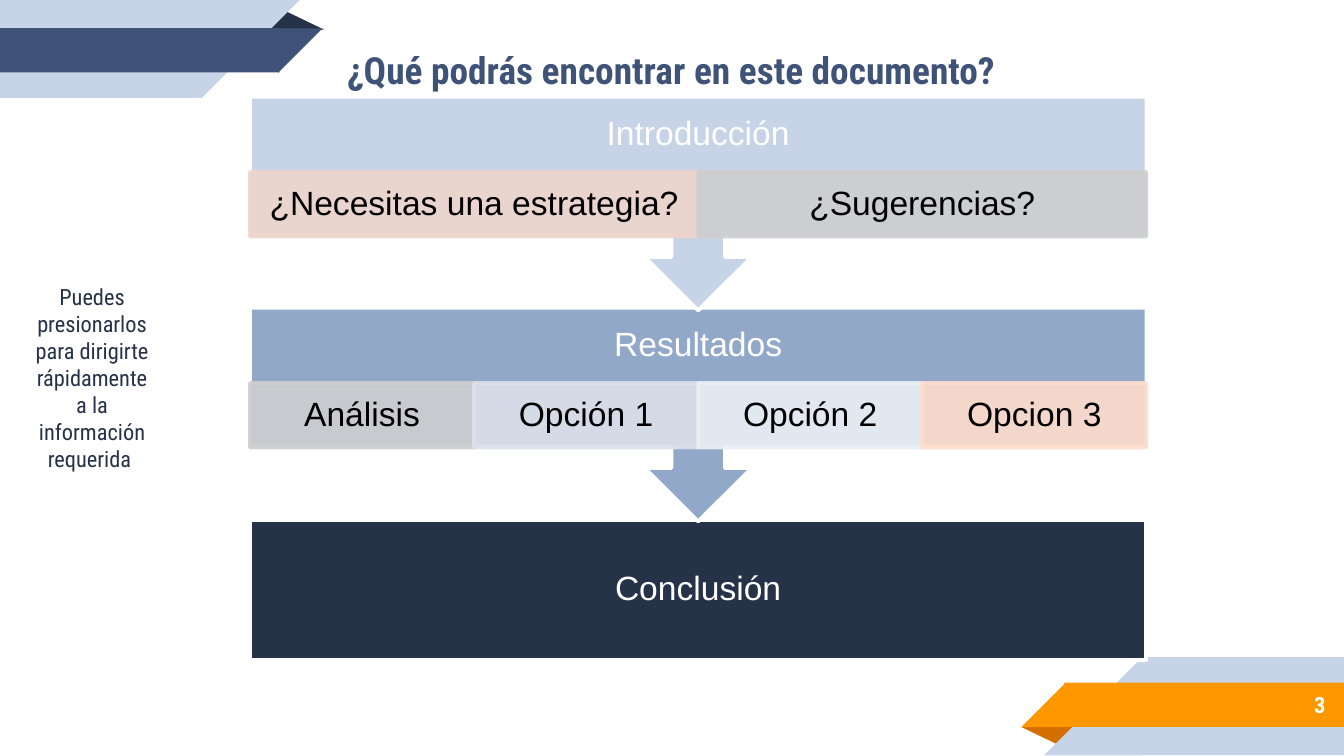
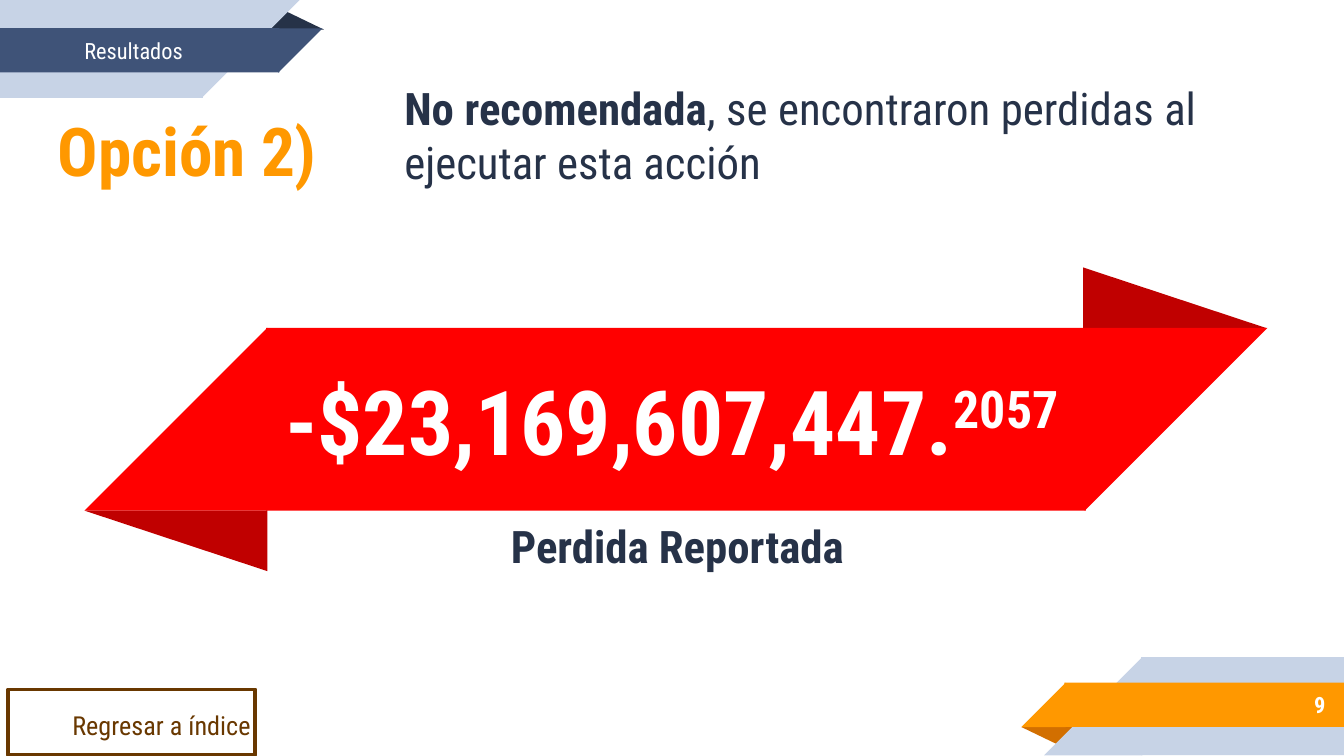
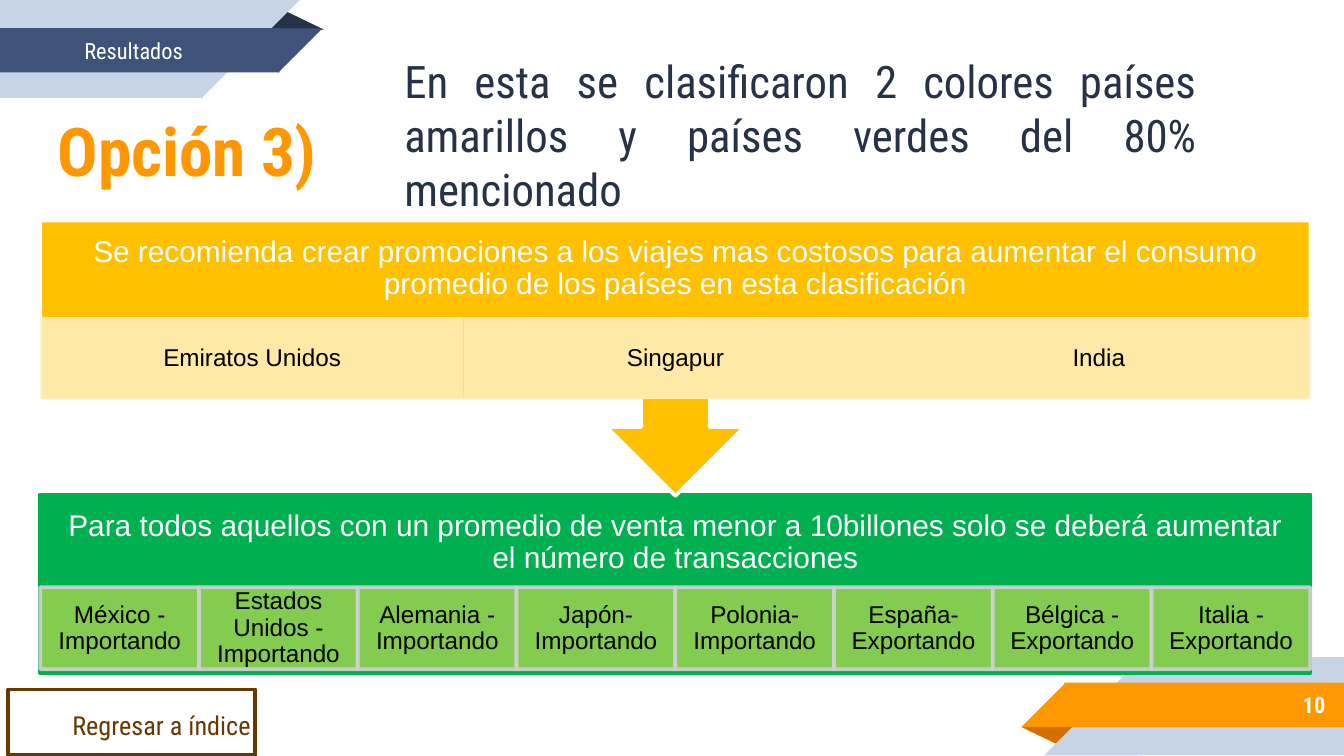
from lxml.etree import SubElement
from pptx import Presentation
from pptx.dml.color import RGBColor
from pptx.enum.shapes import MSO_SHAPE
from pptx.enum.text import MSO_ANCHOR, PP_ALIGN
from pptx.oxml.ns import qn
from pptx.util import Inches, Pt

COLORS = {
    "navy": "263248", "blue": "3F5378", "steel": "92A8C8", "pale_blue": "C7D3E6",
    "orange": "FF9800", "dark_orange": "D26F00", "brown": "693800",
    "red": "FF0000", "dark_red": "C00000", "white": "FFFFFF", "black": "000000",
    "gray": "CDCECF", "mist": "DCE1EB", "ice": "EBEFF5", "peach": "FFDDCC", "rose": "EED5CC",
    "green": "00B050", "light_green": "92D050", "silver": "CFD1D6",
    "amber": "FFC000", "cream": "FFEEB9",
}
HEADING_FONT = "Roboto Condensed"
EVEN_INSETS = (0.1, 0.1)
LABEL_INSETS = (0.1, 0.05)


def add_shape(slide, kind, box, fill=None, line=None, opacity=None,
              rotation=0, flip=False, adjustment=None):
    shape = slide.shapes.add_shape(kind, *map(Inches, box))
    shape.shadow.inherit = False
    shape.rotation = rotation
    if fill:
        shape.fill.solid()
        shape.fill.fore_color.rgb = RGBColor.from_string(COLORS[fill])
    else:
        shape.fill.background()
    if line:
        shape.line.color.rgb = RGBColor.from_string(COLORS[line])
        shape.line.width = Pt(2)
    else:
        shape.line.fill.background()
    if adjustment is not None:
        shape.adjustments[0] = adjustment
    properties = shape._element.spPr
    if flip:
        properties.find(qn("a:xfrm")).set("flipH", "1")
    if opacity:
        for color in properties.iter(qn("a:srgbClr")):
            SubElement(color, qn("a:alpha")).set("val", str(opacity * 1000))
    return shape


def write_text(shape, runs, size, color, align=PP_ALIGN.LEFT, font=HEADING_FONT, bold=False,
               insets=EVEN_INSETS, wrap=True, anchor=MSO_ANCHOR.MIDDLE, **spacing):
    """Fill the shape with one paragraph; runs is a text or a list of (text, font changes)."""
    frame = shape.text_frame
    horizontal, vertical = map(Inches, insets)
    frame_format = {"word_wrap": wrap, "vertical_anchor": anchor,
                    "margin_left": horizontal, "margin_right": horizontal,
                    "margin_top": vertical, "margin_bottom": vertical}
    for name, value in frame_format.items():
        setattr(frame, name, value)
    paragraph = frame.paragraphs[0]
    for name, value in {"alignment": align, **spacing}.items():
        setattr(paragraph, name, value)
    for text, changes in [(runs, {})] if isinstance(runs, str) else runs:
        run = paragraph.add_run()
        run.text = text
        for name, value in {"name": font, "size": Pt(size), "bold": bold, **changes}.items():
            setattr(run.font, name, value)
        run.font.color.rgb = RGBColor.from_string(COLORS[color])
    return paragraph


presentation = Presentation()
presentation.slide_width = Inches(10)
presentation.slide_height = Inches(10) * 9 // 16

# Ribbons: kind, box, fill, rotation, flip, adjustment; neighbours overlap slightly to hide seams
RECTANGLE, CORNER, FOLD = MSO_SHAPE.RECTANGLE, MSO_SHAPE.RIGHT_TRIANGLE, MSO_SHAPE.ISOSCELES_TRIANGLE
CORNER_RIBBONS = [
    (FOLD, (1.98, 0.08, 0.43, 0.14), "navy", 0, False, 0.324),
    (RECTANGLE, (0, 0, 1.51, 0.73), "pale_blue", 0, False, None),
    (CORNER, (1.5, 0, 0.73, 0.73), "pale_blue", 180, True, None),
    (RECTANGLE, (0, 0.21, 2.08, 0.33), "blue", 0, False, None),
    (CORNER, (2.07, 0.21, 0.33, 0.33), "blue", 180, True, None),
    (FOLD, (7.6, 5.41, 0.43, 0.14), "dark_orange", 180, False, 0.324),
    (RECTANGLE, (8.49, 4.89, 1.51, 0.73), "pale_blue", 0, False, None),
    (CORNER, (7.77, 4.89, 0.73, 0.73), "pale_blue", 0, True, None),
    (RECTANGLE, (7.92, 5.08, 2.08, 0.33), "orange", 0, False, None),
    (CORNER, (7.6, 5.08, 0.33, 0.33), "orange", 0, True, None),
]
LOSS_RIBBON = [
    (FOLD, (8.06, 1.99, 1.36, 0.45), "dark_red", 0, False, 0),
    (RECTANGLE, (1.98, 2.44, 6.1, 1.36), "red", 0, False, None),
    (CORNER, (8.07, 2.44, 1.36, 1.36), "red", 180, True, None),
    (CORNER, (0.63, 2.44, 1.36, 1.36), "red", 0, True, None),
    (FOLD, (0.63, 3.8, 1.36, 0.45), "dark_red", 180, False, 0),
]
BODY_SPACING = {"space_before": Pt(6), "space_after": Pt(10)}

slides = []
for page_number in ("3", "9", "10"):
    slide = presentation.slides.add_slide(presentation.slide_layouts[6])
    slides.append(slide)
    for kind, box, fill, rotation, flip, adjustment in CORNER_RIBBONS:
        add_shape(slide, kind, box, fill, rotation=rotation, flip=flip, adjustment=adjustment)
    number_box = slide.shapes.add_textbox(*map(Inches, (8.33, 5.07, 1.63, 0.35)))
    write_text(number_box, page_number, 12, "white", PP_ALIGN.RIGHT, bold=True)
index_slide, loss_slide, countries_slide = slides

# Index slide texts
title = index_slide.shapes.add_textbox(*map(Inches, (2.12, 0.1, 5.75, 0.84)))
write_text(title, "¿Qué podrás encontrar en este documento?", 20, "blue", PP_ALIGN.CENTER, bold=True)
hint = index_slide.shapes.add_textbox(*map(Inches, (0.14, 1.18, 1.09, 3.26)))
write_text(hint, "Puedes presionarlos para dirigirte rápidamente a la información requerida ",
           12, "navy", PP_ALIGN.CENTER, **BODY_SPACING)

# Option slides
OPTIONS = [
    (loss_slide, "Opción 2)", [
        ("No recomendada", {"bold": True}),
        (", se encontraron perdidas al ejecutar esta acción", {}),
    ]),
    (countries_slide, "Opción 3)",
     "En esta se clasificaron 2 colores países amarillos y países verdes del 80% mencionado"),
]
for slide, option, summary in OPTIONS:
    for text, box, size, color in [
        ("Resultados", (0.53, 0.23, 0.93, 0.3), 12, "white"),
        ("Regresar a índice", (0.44, 5.23, 1.54, 0.34), 14, "brown"),
    ]:
        label = slide.shapes.add_textbox(*map(Inches, box))
        write_text(label, text, size, color, insets=LABEL_INSETS, wrap=False, anchor=MSO_ANCHOR.TOP)
    add_shape(slide, RECTANGLE, (0.06, 5.13, 1.84, 0.49), line="brown")
    heading = slide.shapes.add_textbox(*map(Inches, (0.33, 0.81, 6.09, 0.61)))
    write_text(heading, option, 36, "orange", bold=True)
    summary_box = slide.shapes.add_textbox(*map(Inches, (2.91, 0.57, 6.09, 0.86)))
    write_text(summary_box, summary, 24, "navy", PP_ALIGN.JUSTIFY, **BODY_SPACING)

# Reported loss
for kind, box, fill, rotation, flip, adjustment in LOSS_RIBBON:
    add_shape(loss_slide, kind, box, fill, rotation=rotation, flip=flip, adjustment=adjustment)
amount_box = loss_slide.shapes.add_textbox(*map(Inches, (0.33, 2.45, 9.34, 1.34)))
amount = write_text(amount_box, [("-$23,169,607,447.", {}), ("2057", {})], 48, "white",
                    PP_ALIGN.CENTER, bold=True)
amount.runs[1].font._element.set("baseline", "30000")
caption = loss_slide.shapes.add_textbox(*map(Inches, (1.73, 3.79, 6.62, 0.54)))
write_text(caption, "Perdida Reportada", 24, "navy", PP_ALIGN.CENTER, bold=True, **BODY_SPACING)

# Flow diagrams, listed from back to front
CALLOUT = MSO_SHAPE.UP_ARROW_CALLOUT
INDEX_FLOW = {
    "left": 1.86, "width": 6.67, "header_size": 18, "header_insets": (0.14, 0.14),
    "cell_size": 18, "cell_insets": (0.14, 0.03), "cell_height": 0.48,
}
COUNTRY_FLOW = {
    "left": 0.3, "width": 9.45, "header_size": 16, "header_insets": (0.12, 0.12),
    "cell_size": 13, "cell_insets": (0.1, 0.02), "cell_height": 0.61,
}
# slide, flow, kind, top, height, fill, line, header, header height, cell top, cells (text, fill, line)
STAGES = [
    (index_slide, INDEX_FLOW, RECTANGLE, 3.87, 1.04, "navy", "white", "Conclusión", 1.04, None, []),
    (index_slide, INDEX_FLOW, CALLOUT, 2.29, 1.59, "steel", "white", "Resultados", 0.56, 2.85, [
        ("Análisis", "gray", "gray"), ("Opción 1", "mist", "mist"),
        ("Opción 2", "ice", "ice"), ("Opcion 3", "peach", "peach")]),
    (index_slide, INDEX_FLOW, CALLOUT, 0.72, 1.59, "pale_blue", "white", "Introducción", 0.56, 1.28, [
        ("¿Necesitas una estrategia?", "rose", "rose"), ("¿Sugerencias?", "gray", "gray")]),
    (countries_slide, COUNTRY_FLOW, RECTANGLE, 3.68, 1.33, "green", "green",
     "Para todos aquellos con un promedio de venta menor a 10billones solo se deberá "
     "aumentar el número de transacciones", 0.72, 4.37,
     [(country, "light_green", "silver") for country in (
         "México - Importando", "Estados Unidos - Importando", "Alemania - Importando",
         "Japón- Importando", "Polonia- Importando", "España- Exportando",
         "Bélgica - Exportando", "Italia - Exportando")]),
    (countries_slide, COUNTRY_FLOW, CALLOUT, 1.64, 2.05, "amber", "white",
     "Se recomienda crear promociones a los viajes mas costosos para aumentar el consumo "
     "promedio de los países en esta clasificación", 0.72, 2.36,
     [(country, "cream", None) for country in ("Emiratos Unidos", "Singapur", "India")]),
]
for slide, flow, kind, top, height, fill, line, header, header_height, cell_top, cells in STAGES:
    left, width = flow["left"], flow["width"]
    add_shape(slide, kind, (left, top, width, height), fill, line,
              rotation=180 if kind == CALLOUT else 0)
    header_box = slide.shapes.add_textbox(*map(Inches, (left, top, width, header_height)))
    write_text(header_box, header, flow["header_size"], "white", PP_ALIGN.CENTER, "Arial",
               insets=flow["header_insets"], line_spacing=0.9)
    for column, (text, cell_fill, cell_line) in enumerate(cells):
        cell_width = width / len(cells)
        cell_box = (left + column * cell_width, cell_top, cell_width, flow["cell_height"])
        cell = add_shape(slide, RECTANGLE, cell_box, cell_fill, cell_line, opacity=90)
        write_text(cell, text, flow["cell_size"], "black", PP_ALIGN.CENTER, "Arial",
                   insets=flow["cell_insets"], line_spacing=0.9)

presentation.save("out.pptx")
